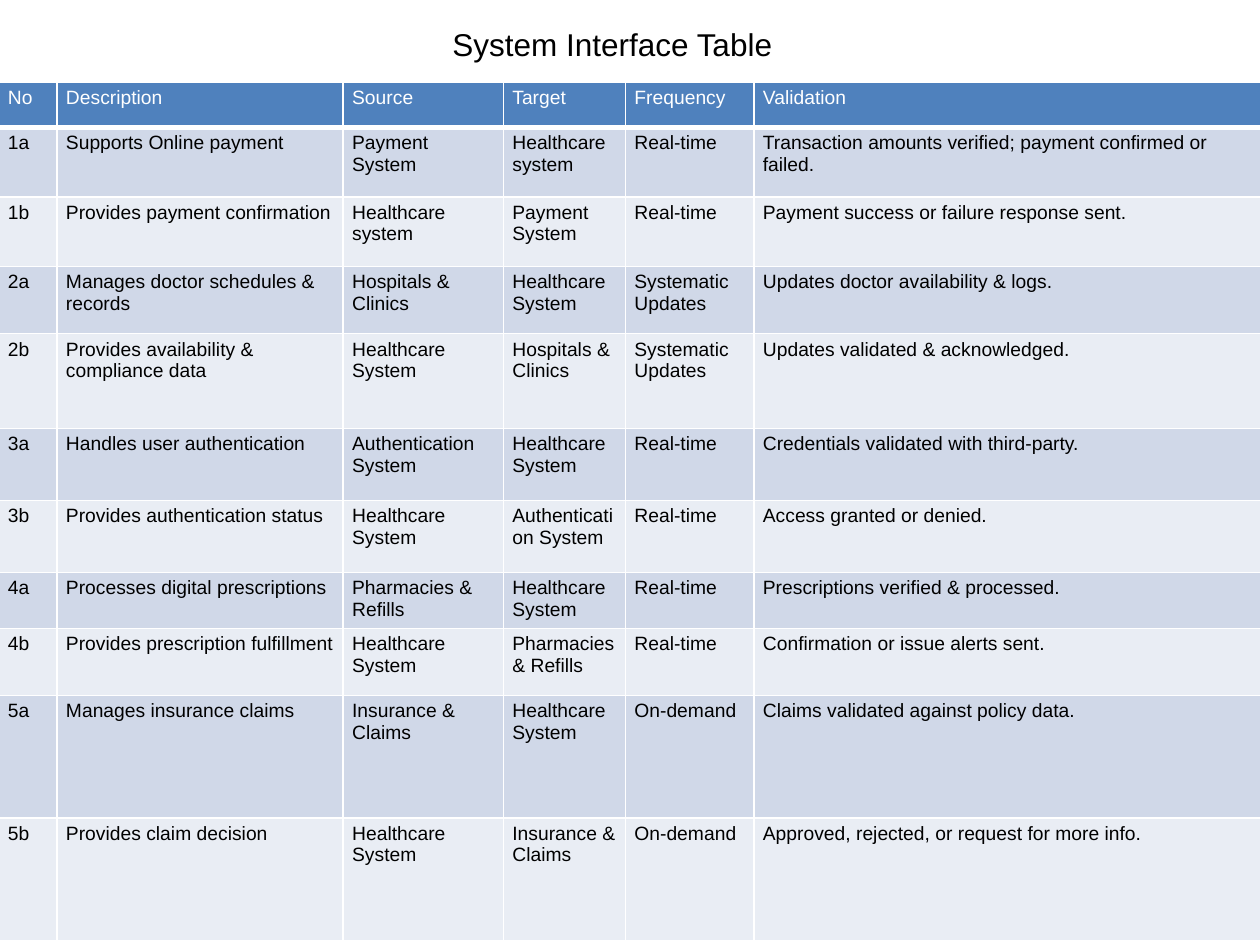
from dataclasses import dataclass

from lxml.etree import SubElement
from pptx import Presentation
from pptx.dml.color import RGBColor
from pptx.enum.text import MSO_AUTO_SIZE, PP_ALIGN
from pptx.oxml.ns import qn
from pptx.util import Cm, Pt


@dataclass(frozen=True)
class Theme:
    font: str = "Arial"
    title_size: int = 18
    cell_size: int = 11
    ink: str = "000000"
    white: str = "FFFFFF"
    header: str = "4F81BD"
    bands: tuple = ("D0D8E8", "E9EDF4")
    rule: int = 1
    header_rule: int = 3


@dataclass(frozen=True)
class Interface:
    no: str
    description: str
    source: str
    target: str
    frequency: str
    validation: str
    height: float

    def texts(self) -> tuple:
        return (self.no, self.description, self.source,
                self.target, self.frequency, self.validation)


THEME = Theme()
COLUMN_WIDTHS = (1.17, 5.77, 3.23, 2.46, 2.59, 10.29)
ROWS = (
    Interface("No", "Description", "Source", "Target", "Frequency", "Validation", 0.91),
    Interface("1a", "Supports Online payment", "Payment System", "Healthcare system",
              "Real-time", "Transaction amounts verified; payment confirmed or failed.", 1.4),
    Interface("1b", "Provides payment confirmation", "Healthcare system", "Payment System",
              "Real-time", "Payment success or failure response sent.", 1.4),
    Interface("2a", "Manages doctor schedules & records", "Hospitals & Clinics",
              "Healthcare System", "Systematic Updates",
              "Updates doctor availability & logs.", 1.36),
    Interface("2b", "Provides availability & compliance data", "Healthcare System",
              "Hospitals & Clinics", "Systematic Updates",
              "Updates validated & acknowledged.", 1.91),
    Interface("3a", "Handles user authentication", "Authentication System",
              "Healthcare System", "Real-time", "Credentials validated with third-party.", 1.45),
    Interface("3b", "Provides authentication status", "Healthcare System",
              "Authentication System", "Real-time", "Access granted or denied.", 1.45),
    Interface("4a", "Processes digital prescriptions", "Pharmacies & Refills",
              "Healthcare System", "Real-time", "Prescriptions verified & processed.", 1.12),
    Interface("4b", "Provides prescription fulfillment", "Healthcare System",
              "Pharmacies & Refills", "Real-time", "Confirmation or issue alerts sent.", 1.35),
    Interface("5a", "Manages insurance claims", "Insurance & Claims",
              "Healthcare System", "On-demand", "Claims validated against policy data.", 2.47),
    Interface("5b", "Provides claim decision", "Healthcare System", "Insurance & Claims",
              "On-demand", "Approved, rejected, or request for more info.", 2.47),
)


def write(tf, text: str, *, size: int, color: str, align=PP_ALIGN.LEFT) -> None:
    p = tf.paragraphs[0]
    p.alignment = align
    r = p.add_run()
    r.text = text
    r.font.name = THEME.font
    r.font.size = Pt(size)
    r.font.color.rgb = RGBColor.from_string(color)


def set_borders(cell, *, bottom: int) -> None:
    tc_pr = cell._tc.get_or_add_tcPr()
    widths = {"a:lnL": THEME.rule, "a:lnR": THEME.rule, "a:lnT": THEME.rule, "a:lnB": bottom}
    for tag, width in widths.items():
        ln = SubElement(tc_pr, qn(tag), w=str(Pt(width)))
        fill = SubElement(ln, qn("a:solidFill"))
        SubElement(fill, qn("a:srgbClr"), val=THEME.white)


def draw_cell(cell, text: str, *, fill: str, color: str, bottom: int) -> None:
    cell.margin_left = cell.margin_right = Cm(0.18)
    cell.margin_top = cell.margin_bottom = Cm(0.1)
    set_borders(cell, bottom=bottom)
    cell.fill.solid()
    cell.fill.fore_color.rgb = RGBColor.from_string(fill)
    write(cell.text_frame, text, size=THEME.cell_size, color=color)


def draw_title(s, text: str) -> None:
    tf = s.shapes.add_textbox(Cm(8.84), Cm(0.38), Cm(7.01), Cm(1.02)).text_frame
    tf.word_wrap = False
    tf.auto_size = MSO_AUTO_SIZE.SHAPE_TO_FIT_TEXT
    write(tf, text, size=THEME.title_size, color=THEME.ink, align=PP_ALIGN.CENTER)


def draw_table(s, rows: tuple, widths: tuple) -> None:
    height = sum(row.height for row in rows)
    sp = s.shapes.add_table(len(rows), len(widths), Cm(-0.02), Cm(1.66),
                            Cm(sum(widths)), Cm(height))
    table = sp.table
    table.horz_banding = False
    for column, width in zip(table.columns, widths):
        column.width = Cm(width)
    for i, row in enumerate(rows):
        table.rows[i].height = Cm(row.height)
        if i == 0:
            style = dict(fill=THEME.header, color=THEME.white, bottom=THEME.header_rule)
        else:
            style = dict(fill=THEME.bands[(i - 1) % 2], color=THEME.ink, bottom=THEME.rule)
        for j, text in enumerate(row.texts()):
            draw_cell(table.cell(i, j), text, **style)


def main() -> None:
    prs = Presentation()
    prs.slide_width, prs.slide_height = Cm(25.4), Cm(19.05)
    s = prs.slides.add_slide(prs.slide_layouts[6])

    # Title
    draw_title(s, "System Interface Table")

    # Interface table
    draw_table(s, ROWS, COLUMN_WIDTHS)

    prs.save("out.pptx")


if __name__ == "__main__":
    main()
